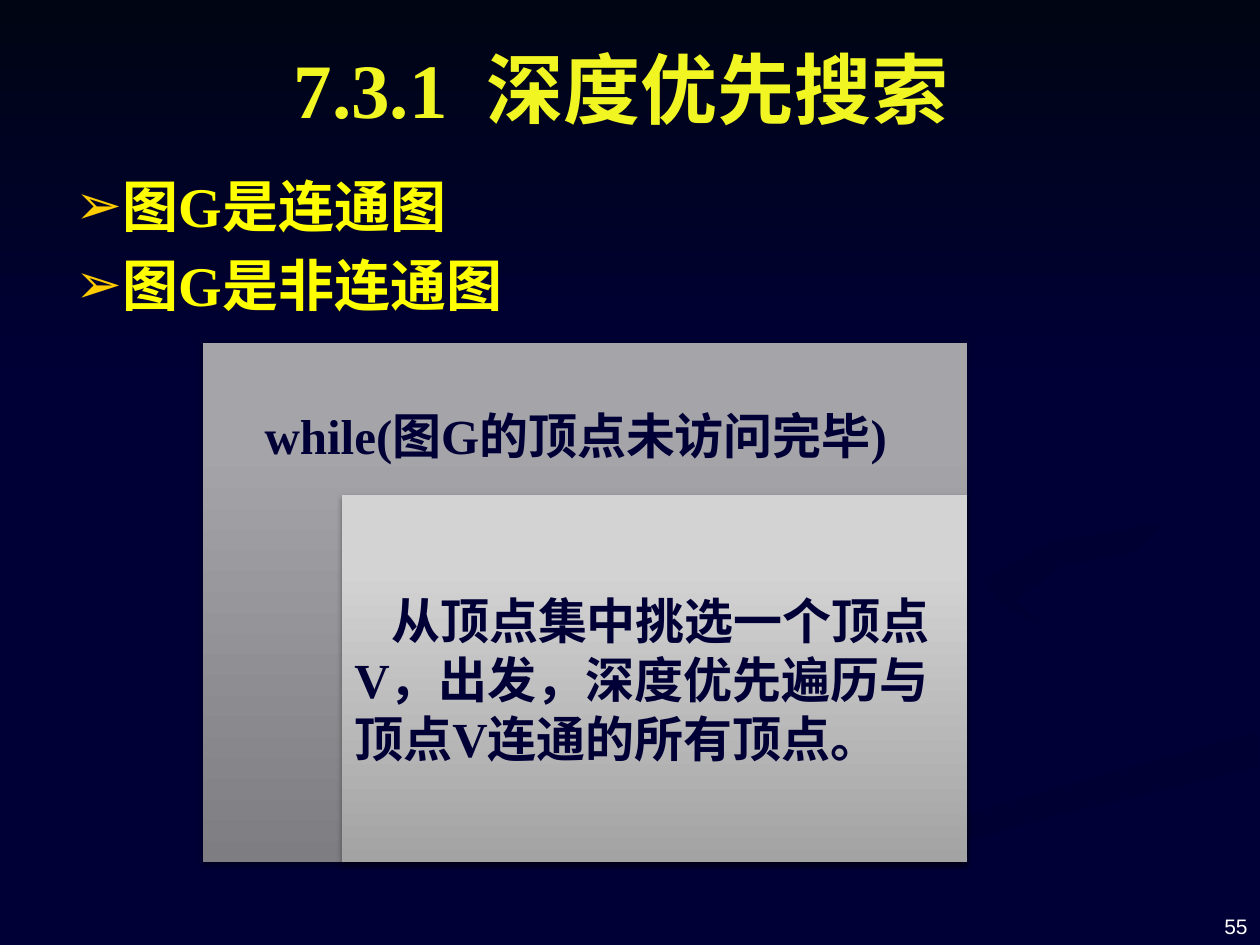
import pptx
import pptx.util
import pptx.oxml
import pptx.oxml.ns
import pptx.dml.color
import pptx.enum.shapes
import pptx.enum.text

Pt = pptx.util.Pt
RGB = pptx.dml.color.RGBColor
ALIGN = pptx.enum.text.PP_ALIGN
ANCHOR = pptx.enum.text.MSO_ANCHOR
RECT = pptx.enum.shapes.MSO_SHAPE.RECTANGLE
A_NS = pptx.oxml.ns.nsdecls("a")

NAVY = RGB.from_string("000036")
DARK_NAVY = RGB.from_string("000032")
BAND_TOP = RGB.from_string("000514")
TITLE_YELLOW = RGB.from_string("F1F622")
YELLOW = RGB.from_string("FFFF00")
GOLD = RGB.from_string("FFCC00")
WHITE = RGB.from_string("FFFFFF")
OUTER_GREYS = [RGB.from_string(c) for c in ("7E7E82", "A4A4A9", "A5A5AA")]
INNER_GREYS = [RGB.from_string(c) for c in ("A3A3A3", "D3D3D3", "D4D4D4")]
SERIF = "Times New Roman"

# Content
TITLE = "7.3.1  深度优先搜索"
BULLETS = ["图G是连通图", "图G是非连通图"]
PAGE = "55"
LOOP = "while(图G的顶点未访问完毕)"
STEP = "从顶点集中挑选一个顶点V，出发，深度优先遍历与顶点V连通的所有顶点。"

# Panels share their right and bottom edges
RIGHT, BOTTOM = 552.5, 492.5
# text, left, top, greys, anchor, left inset, top inset, first-line indent
PANELS = [
    (LOOP, 116, 196, OUTER_GREYS, ANCHOR.TOP, 35.2, 36, 0),
    (STEP, 195.5, 283, INNER_GREYS, ANCHOR.MIDDLE, 7.2, 3.6, 21),
]

# Background swirls: gradient angle, outline
SWIRLS = [
    (90, [(362, 539), (411, 539), (500, 498), (591, 469), (719, 438),
          (719, 418), (574, 459), (454, 499)]),
    (45, [(562, 331), (570, 344), (595, 357), (580, 343), (607, 323),
          (719, 302), (719, 289), (601, 310)]),
]


def paint(sp, stops, angle):
    """Fill with a linear gradient (clockwise angle), no line, no shadow."""
    sp.shadow.inherit = False
    sp.line.fill.background()
    sp.fill.solid()
    gs = "".join(f'<a:gs pos="{pos * 1000}"><a:srgbClr val="{c}"/></a:gs>'
                 for pos, c in stops)
    grad = pptx.oxml.parse_xml(
        f'<a:gradFill {A_NS} rotWithShape="1"><a:gsLst>{gs}</a:gsLst>'
        f'<a:lin ang="{angle * 60000}" scaled="0"/></a:gradFill>')
    sp_pr = sp._element.spPr
    sp_pr.replace(sp_pr.find(pptx.oxml.ns.qn("a:solidFill")), grad)


def add_shadow(sp):
    effects = sp._element.spPr.find(pptx.oxml.ns.qn("a:effectLst"))
    effects.append(pptx.oxml.parse_xml(
        f'<a:outerShdw {A_NS} blurRad="{Pt(3.1)}" dist="{Pt(1.8)}" dir="5400000" '
        'rotWithShape="0"><a:srgbClr val="000000"><a:alpha val="35000"/>'
        '</a:srgbClr></a:outerShdw>'))


def place(sp, *box):
    sp.left, sp.top, sp.width, sp.height = map(Pt, box)


def style(p, size, color, name=SERIF, bold=True, align=ALIGN.LEFT):
    p.alignment = align
    p.font.size, p.font.name, p.font.bold = Pt(size), name, bold
    p.font.color.rgb = color


def add_bullet(p):
    p_pr = p._p.get_or_add_pPr()
    p_pr.set("marL", str(Pt(27)))
    p_pr.set("indent", str(Pt(-27)))
    for xml in (f'<a:buClr {A_NS}><a:srgbClr val="{GOLD}"/></a:buClr>',
                f'<a:buFont {A_NS} typeface="Arial"/>',
                f'<a:buChar {A_NS} char="➢"/>'):
        p_pr.append(pptx.oxml.parse_xml(xml))


prs = pptx.Presentation()
prs.slide_width, prs.slide_height = Pt(720), Pt(540)
s = prs.slides.add_slide(prs.slide_layouts[1])
s.background.fill.solid()
s.background.fill.fore_color.rgb = NAVY

# Backdrop: swirls and top band, behind the placeholders
backdrop = []
for angle, outline in SWIRLS:
    fb = s.shapes.build_freeform(*outline[0], scale=Pt(1))
    fb.add_line_segments(outline[1:], close=True)
    sp = fb.convert_to_shape()
    paint(sp, [(0, DARK_NAVY), (100, NAVY)], angle)
    backdrop.append(sp)
band = s.shapes.add_shape(RECT, 0, 0, prs.slide_width, Pt(222))
paint(band, [(0, BAND_TOP), (100, NAVY)], 90)
backdrop.append(band)
for i, sp in enumerate(backdrop):
    sp._element.getparent().insert(2 + i, sp._element)

# Title
title = s.shapes.title
place(title, 31, 11.5, 648, 77)
title.text_frame.text = TITLE
title.text_frame.vertical_anchor = ANCHOR.MIDDLE
style(title.text_frame.paragraphs[0], 44, TITLE_YELLOW, align=ALIGN.CENTER)

# Bulleted list
body = s.placeholders[1]
place(body, 36, 94.5, 630, 420)
tf = body.text_frame
tf.auto_size = pptx.enum.text.MSO_AUTO_SIZE.NONE
tf.text = "\n".join(BULLETS)
for i, p in enumerate(tf.paragraphs):
    p.space_before = Pt(6.4 if i else 0)
    add_bullet(p)
    style(p, 32, YELLOW)

# Loop panel and the step inside it
for text, left, top, greys, anchor, inset_left, inset_top, indent in PANELS:
    sp = s.shapes.add_shape(RECT, Pt(left), Pt(top), Pt(RIGHT - left), Pt(BOTTOM - top))
    paint(sp, list(zip((0, 80, 100), greys)), 270)
    add_shadow(sp)
    tf = sp.text_frame
    tf.word_wrap = True
    tf.vertical_anchor = anchor
    tf.margin_left, tf.margin_top = Pt(inset_left), Pt(inset_top)
    tf.text = text
    p = tf.paragraphs[0]
    p._p.get_or_add_pPr().set("indent", str(Pt(indent)))
    style(p, 28, NAVY)

# Page number
tf = s.shapes.add_textbox(Pt(552), Pt(502.5), Pt(168), Pt(37.5)).text_frame
tf.word_wrap = True
tf.vertical_anchor = ANCHOR.BOTTOM
tf.text = PAGE
style(tf.paragraphs[0], 12, WHITE, "Arial", False, ALIGN.RIGHT)

prs.save("out.pptx")
